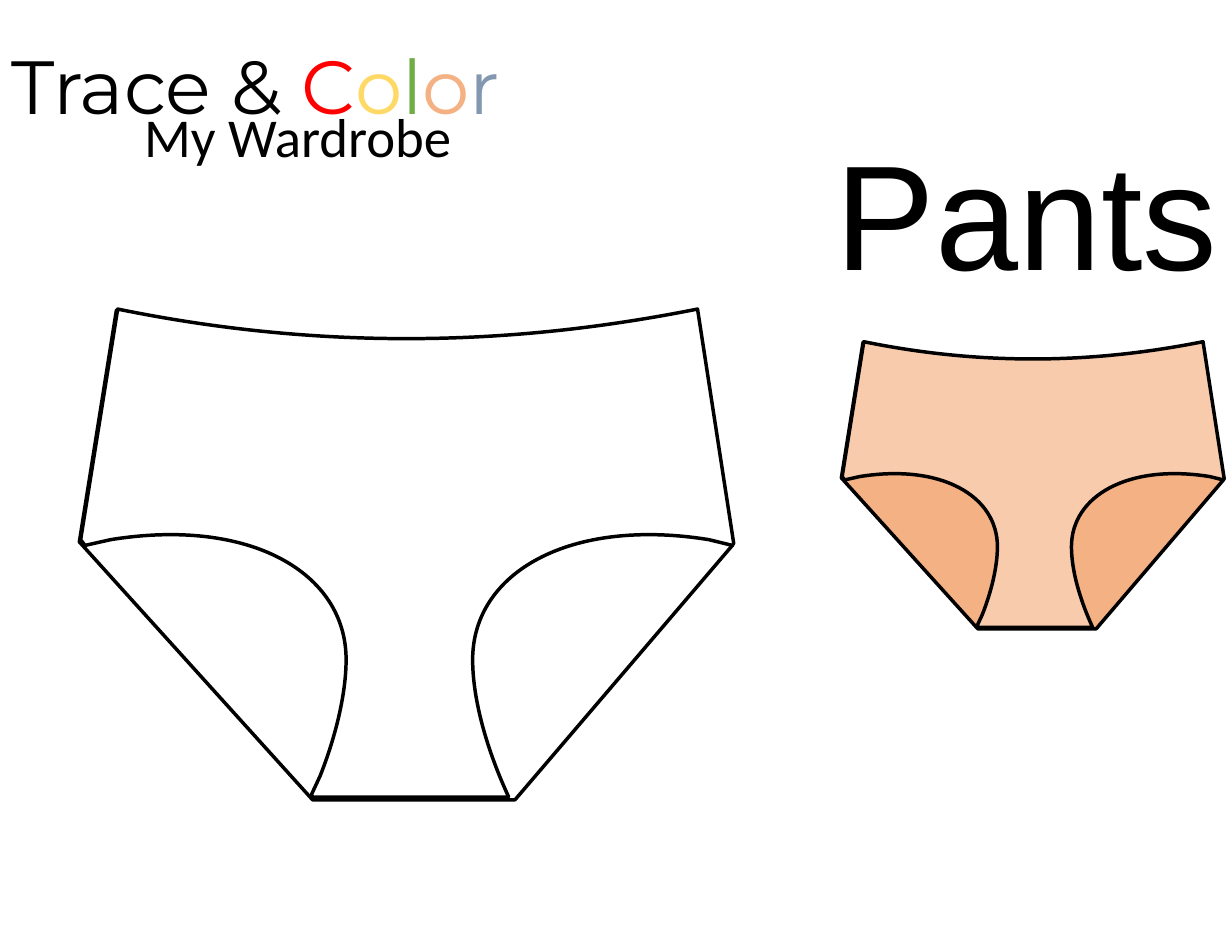
"""Build the trace-and-color worksheet slide for pants."""
import pptx
import pptx.dml.color
import pptx.enum.text
import pptx.oxml
import pptx.util

Cm = pptx.util.Cm
RGB = pptx.dml.color.RGBColor
ALIGN = pptx.enum.text.PP_ALIGN

BLACK = RGB(0x00, 0x00, 0x00)
WHITE = RGB(0xFF, 0xFF, 0xFF)
RED = RGB(0xFF, 0x00, 0x00)
YELLOW = RGB(0xFF, 0xD9, 0x66)
GREEN = RGB(0x70, 0xAD, 0x47)
ORANGE = RGB(0xF4, 0xB1, 0x83)
SLATE = RGB(0x84, 0x97, 0xB0)
PEACH = RGB(0xF8, 0xCB, 0xAD)

TITLE = [("Trace & ", BLACK), ("C", RED), ("o", YELLOW), ("l", GREEN), ("o", ORANGE), ("r", SLATE)]
TITLE_BOX = (0, 0.76, 14, 2.34)
LABELS = [
    ("Pants", (18.62, 2.62, 9.32, 4.37), "Arial", 96),
    ("My Wardrobe", (0.25, 2.21, 13, 1.75), "Calibri", 35.2),
]

# Each segment is one point for a line or three points for a curve.
BACK = [
    [(2.64, 7.04)],
    [(8.2, 8.18), (12.73, 7.67), (15.8, 7.04)],
    [(16.61, 12.37)], [(11.68, 18.14)], [(7.09, 18.14)], [(1.8, 12.29)], [(2.64, 7.04)],
]
FRONT = [
    [(2.67, 7.01)],
    [(8.23, 8.15), (12.75, 7.62), (15.82, 7.01)],
    [(16.64, 12.32)], [(16.61, 12.37)], [(16.08, 12.24)],
    [(12.93, 11.73), (10.72, 12.98), (10.72, 14.96)],
    [(10.72, 15.88), (11.05, 17.02), (11.53, 18.06)],
    [(11.53, 18.08)], [(7.11, 18.08)], [(7.06, 18.03)], [(7.26, 17.6)],
    [(7.62, 16.69), (7.85, 15.72), (7.85, 14.96)],
    [(7.85, 12.98), (5.66, 11.73), (2.51, 12.24)],
    [(1.93, 12.37)], [(1.83, 12.24)], [(2.67, 7.01)],
]
ORIGIN = (1.83, 7.01)
GARMENTS = [
    ((19.1, 7.75), 0.585, ORANGE, PEACH),
    (ORIGIN, 1, WHITE, WHITE),
]


def write(sp, text, box, font, size, align=ALIGN.CENTER):
    sp.left, sp.top, sp.width, sp.height = [Cm(v) for v in box]
    tf = sp.text_frame
    tf.word_wrap = True
    tf.auto_size = pptx.enum.text.MSO_AUTO_SIZE.SHAPE_TO_FIT_TEXT
    tf.vertical_anchor = pptx.enum.text.MSO_ANCHOR.TOP
    p = tf.paragraphs[0]
    p.alignment = align
    for part, color in text:
        r = p.add_run()
        r.text = part
        r.font.name = font
        r.font.size = pptx.util.Pt(size)
        r.font.color.rgb = color


def draw_outline(shapes, segments, corner, scale, fill):
    def place(point):
        return tuple(Cm(c + scale * (v - o)) for v, c, o in zip(point, corner, ORIGIN))

    start, *rest = [[place(pt) for pt in seg] for seg in segments]
    builder = shapes.build_freeform(*start[0])
    builder.add_line_segments([pt for seg in rest for pt in seg], close=True)
    sp = builder.convert_to_shape()
    sp.shadow.inherit = False
    sp.fill.solid()
    sp.fill.fore_color.rgb = fill
    sp.line.color.rgb = BLACK
    sp.line.width = pptx.util.Pt(2.25)
    lines = iter(sp._element.xpath(".//a:path/a:lnTo"))
    for seg in rest:
        steps = [next(lines) for _ in seg]
        if len(steps) == 3:
            curve = steps[0].makeelement(pptx.oxml.ns.qn("a:cubicBezTo"))
            steps[0].addprevious(curve)
            for step in steps:
                curve.append(step[0])
                step.getparent().remove(step)


def main():
    prs = pptx.Presentation()
    prs.slide_width, prs.slide_height = Cm(27.94), Cm(21.59)
    s = prs.slides.add_slide(prs.slide_layouts[5])
    write(s.shapes.title, TITLE, TITLE_BOX, "Montserrat", 48.4, ALIGN.LEFT)
    for text, box, font, size in LABELS:
        sp = s.shapes.add_textbox(0, 0, 0, 0)
        write(sp, [(text, BLACK)], box, font, size)
    for corner, scale, back, front in GARMENTS:
        group = s.shapes.add_group_shape()
        for segments, fill in ((BACK, back), (FRONT, front)):
            draw_outline(group.shapes, segments, corner, scale, fill)
    prs.save("out.pptx")


if __name__ == "__main__":
    main()
